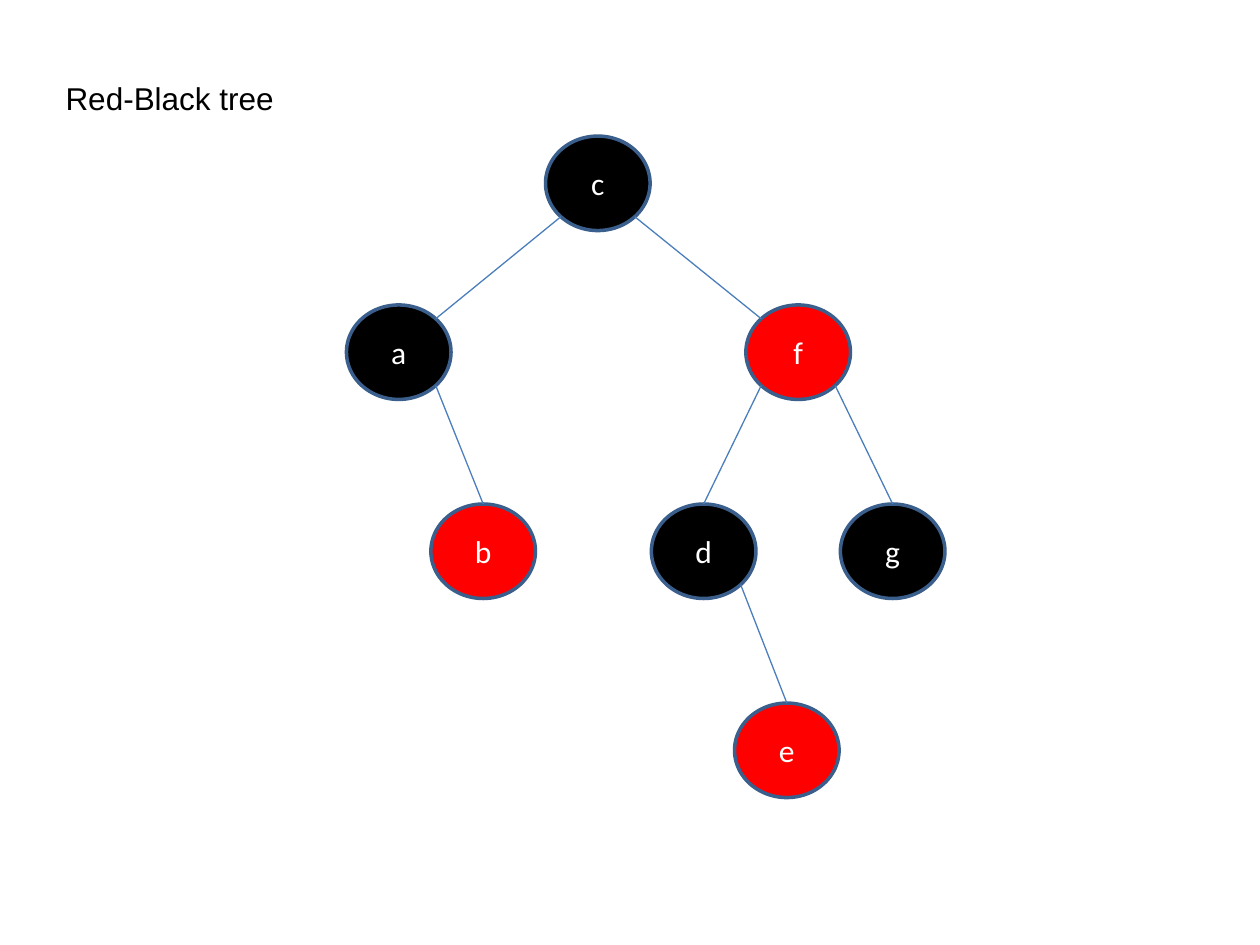
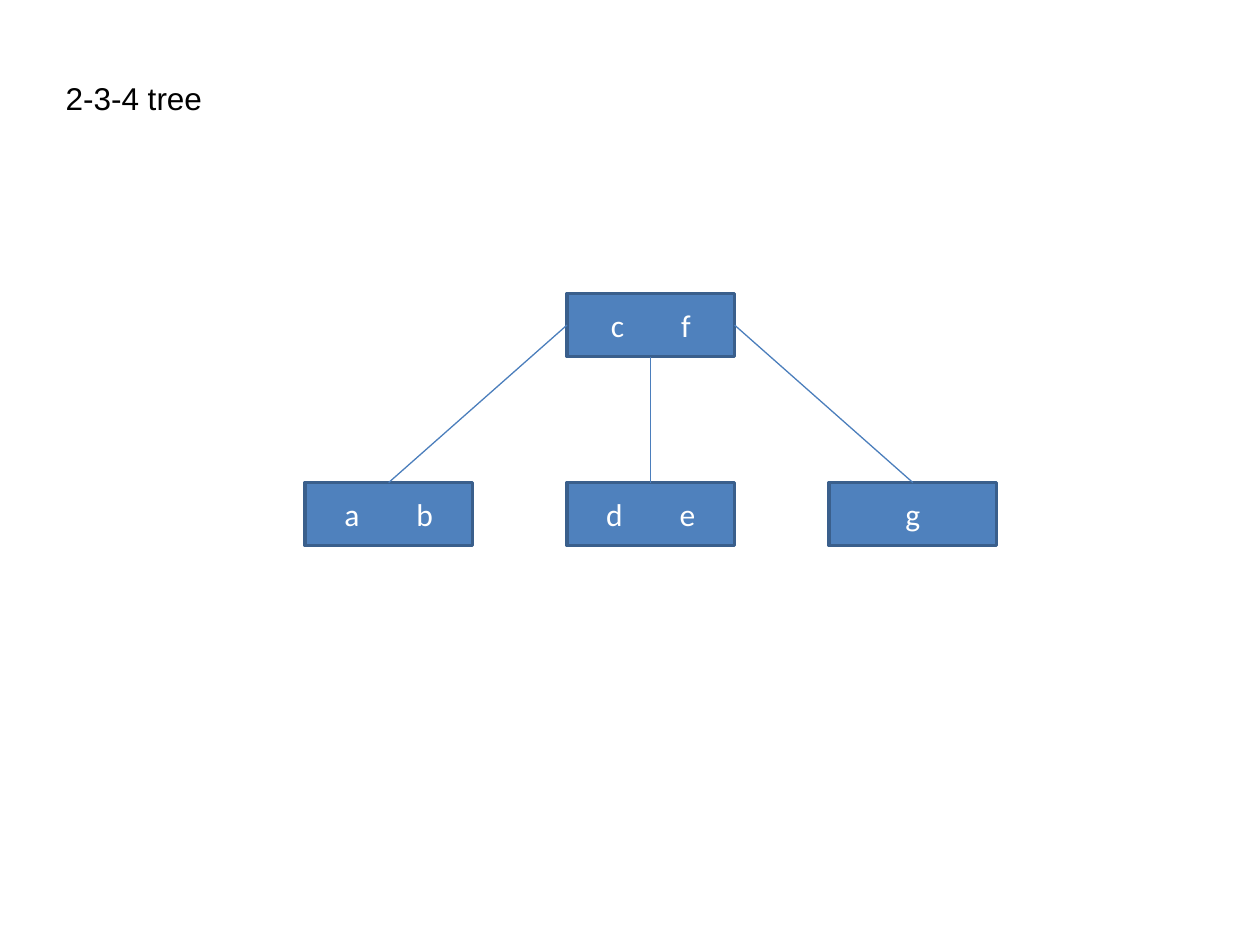
from math import cos, pi, sin

from pptx import Presentation
from pptx.dml.color import RGBColor
from pptx.enum.shapes import MSO_CONNECTOR, MSO_SHAPE
from pptx.enum.text import MSO_ANCHOR, MSO_AUTO_SIZE, PP_ALIGN
from pptx.oxml.ns import qn
from pptx.util import Inches, Pt

OVAL, RECTANGLE = MSO_SHAPE.OVAL, MSO_SHAPE.RECTANGLE
STRAIGHT = MSO_CONNECTOR.STRAIGHT
LEFT, CENTER = PP_ALIGN.LEFT, PP_ALIGN.CENTER
TOP, MIDDLE = MSO_ANCHOR.TOP, MSO_ANCHOR.MIDDLE
NO_AUTOFIT = MSO_AUTO_SIZE.NONE

BLACK, RED, BLUE, WHITE = "000000", "FF0000", "4F81BD", "FFFFFF"
OUTLINE, EDGE = "3A5F8C", "4B7EBC"
KEY_GAP = 28.5


def color(value):
    return RGBColor.from_string(value)


def write(frame, text, font, ink, align, anchor, wrap=True, size=18, gap=0):
    frame.auto_size = NO_AUTOFIT
    frame.word_wrap = wrap
    frame.vertical_anchor = anchor
    para = frame.paragraphs[0]
    para.alignment = align
    pieces = text.partition(" ") if gap else [text]
    for piece in filter(None, pieces):
        span = para.add_run()
        span.text = piece
        span.font.name = font
        span.font.size = Pt(size)
        span.font.color.rgb = color(ink)
        if piece == " ":
            span.font._element.set("spc", str(round(gap * 100)))


# Sites run counter-clockwise from the top: eight on an oval, four on a rectangle.
trees = [
    {
        "title": "Red-Black tree", "title_width": 1.87,
        "shape": OVAL, "size": (0.83, 0.75), "sites": 8,
        "nodes": [
            ("c", 4.33, 1.08, BLACK),
            ("a", 2.75, 2.42, BLACK), ("f", 5.92, 2.42, RED),
            ("b", 3.42, 4, RED), ("d", 5.17, 4, BLACK), ("g", 6.67, 4, BLACK),
            ("e", 5.83, 5.58, RED),
        ],
        "edges": [
            ("c", 3, "a", 7), ("c", 5, "f", 1), ("a", 5, "b", 0),
            ("f", 3, "d", 0), ("f", 5, "g", 0), ("d", 5, "e", 0),
        ],
    },
    {
        "title": "2-3-4 tree", "title_width": 1.3,
        "shape": RECTANGLE, "size": (1.33, 0.5), "sites": 4,
        "nodes": [
            ("c f", 4.5, 2.33, BLUE),
            ("a b", 2.42, 3.83, BLUE), ("d e", 4.5, 3.83, BLUE), ("g", 6.58, 3.83, BLUE),
        ],
        "edges": [("c f", 1, "a b", 0), ("c f", 2, "d e", 0), ("c f", 3, "g", 0)],
    },
]

deck = Presentation()
deck.slide_width, deck.slide_height = Inches(10), Inches(7.5)

for tree in trees:
    page = deck.slides.add_slide(deck.slide_layouts[5])
    title = page.shapes.title
    title.left, title.top = Inches(0.42), Inches(0.58)
    title.width, title.height = Inches(tree["title_width"]), Inches(0.4)
    write(title.text_frame, tree["title"], "Arial", BLACK, LEFT, TOP, wrap=False)

    width, height = map(Inches, tree["size"])
    nodes = {}
    for keys, left, top, fill in tree["nodes"]:
        node = page.shapes.add_shape(tree["shape"], Inches(left), Inches(top), width, height)
        node.shadow.inherit = False
        node.fill.solid()
        node.fill.fore_color.rgb = color(fill)
        node.line.color.rgb = color(OUTLINE)
        node.line.width = Pt(2)
        write(node.text_frame, keys, "Calibri", WHITE, CENTER, MIDDLE, gap=KEY_GAP)
        nodes[keys] = node

    for parent, parent_site, child, child_site in tree["edges"]:
        points = []
        for keys, site in ((parent, parent_site), (child, child_site)):
            angle = pi / 2 + 2 * pi * site / tree["sites"]
            points.append(round(nodes[keys].left + width / 2 * (1 + cos(angle))))
            points.append(round(nodes[keys].top + height / 2 * (1 - sin(angle))))
        edge = page.shapes.add_connector(STRAIGHT, *points)
        edge.line.color.rgb = color(EDGE)
        edge.line.width = Pt(0.75)
        properties = edge._element.spPr
        properties.append(properties.makeelement(qn("a:effectLst"), {}))
        if tree["shape"] == RECTANGLE:
            edge.begin_connect(nodes[parent], parent_site)
        if child_site == 0:
            edge.end_connect(nodes[child], 0)

deck.save("out.pptx")
